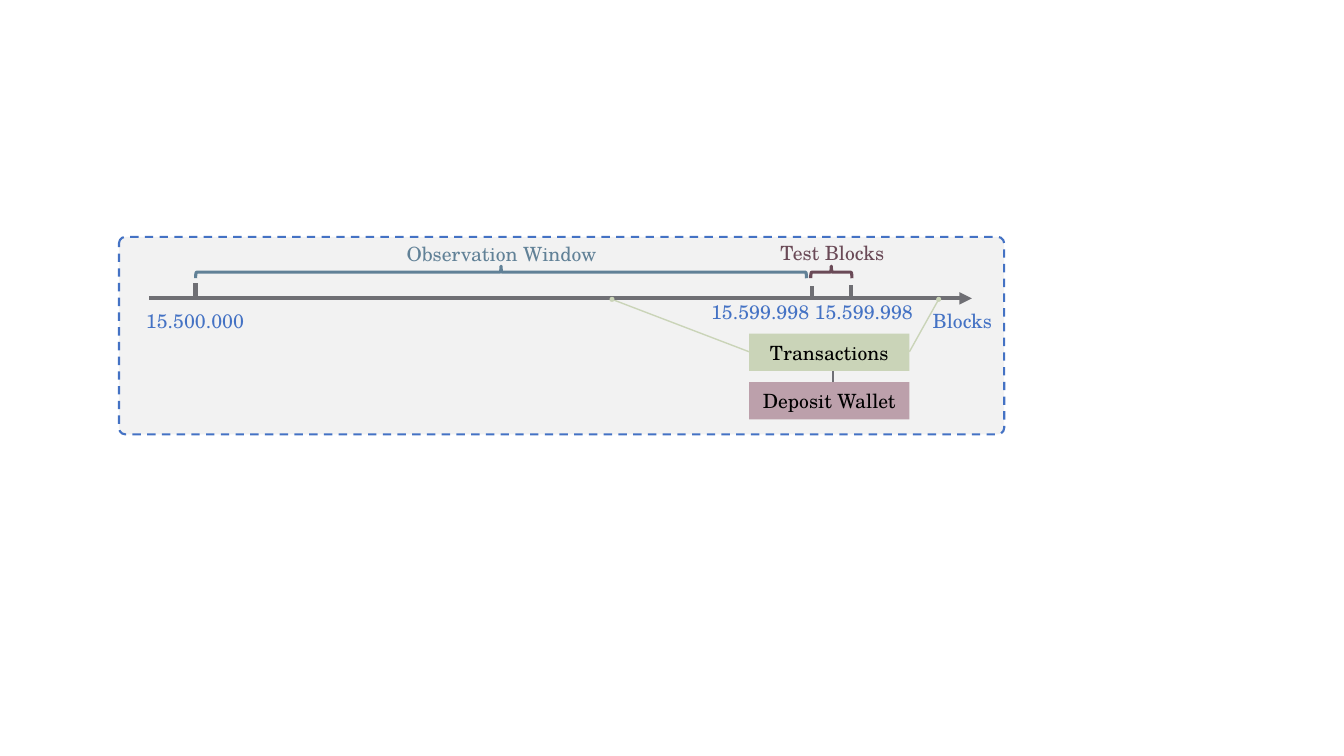
from lxml import etree
from pptx import Presentation
from pptx import util as u
from pptx.dml.color import RGBColor
from pptx.enum import dml, shapes, text
from pptx.oxml.ns import qn

FONT = "TeX Gyre Schola"
BLUE, GREY, GREEN, MAUVE = "4472C4", "6F6F74", "CAD4B8", "BCA0AB"
TEAL, PLUM, PALE, BLACK = "618197", "6A4A57", "F2F2F2", "000000"
KIND = shapes.MSO_SHAPE


def rgb(color):
    """Turn a hex string into a colour."""
    return RGBColor.from_string(color)


def add_text(tf, words, color):
    """Write one centred line into a text frame."""
    tf.word_wrap = True
    p = tf.paragraphs[0]
    p.text = words
    p.alignment = text.PP_ALIGN.CENTER
    r = p.runs[0]
    r.font.name, r.font.size = FONT, u.Pt(14)
    r.font.color.rgb = rgb(color)


def add_label(s, x, y, w, words, color):
    """Place a text label."""
    tb = s.shapes.add_textbox(u.Inches(x), u.Inches(y), u.Inches(w), u.Inches(0.34))
    add_text(tb.text_frame, words, color)


def add_shape(s, kind, x, y, w, h, fill=None, line=None, width=1.5):
    """Place a preset shape with an optional fill and line."""
    sp = s.shapes.add_shape(kind, u.Inches(x), u.Inches(y), u.Inches(w), u.Inches(h))
    sp.shadow.inherit = False
    if fill:
        sp.fill.solid()
        sp.fill.fore_color.rgb = rgb(fill)
    else:
        sp.fill.background()
    if line:
        sp.line.color.rgb = rgb(line)
        sp.line.width = u.Pt(width)
    else:
        sp.line.fill.background()
    return sp


def add_line(s, x1, y1, x2, y2, color, width, arrow=False):
    """Draw a straight line, with an arrowhead at its end if asked."""
    c = s.shapes.add_connector(shapes.MSO_CONNECTOR.STRAIGHT, u.Inches(x1),
                               u.Inches(y1), u.Inches(x2), u.Inches(y2))
    c.line.color.rgb = rgb(color)
    c.line.width = u.Pt(width)
    if arrow:
        etree.SubElement(c.line._get_or_add_ln(), qn("a:tailEnd"), type="triangle")
    etree.SubElement(c._element.spPr, qn("a:effectLst"))


def add_brace(s, x1, x2, y, color):
    """Draw a brace that points up and spans x1 to x2, centred on y."""
    depth, span = 0.12, x2 - x1
    sp = add_shape(s, KIND.RIGHT_BRACE, (x1 + x2 - depth) / 2, y - span / 2,
                   depth, span, line=color, width=2.25)
    sp.rotation = 270


def panel(s, x, y, w, h):
    """Draw the dashed background panel."""
    sp = add_shape(s, KIND.ROUNDED_RECTANGLE, x, y, w, h, PALE, BLUE)
    sp.adjustments[0] = 0.033
    sp.line.dash_style = dml.MSO_LINE.DASH


def timeline(s, x, y, w):
    """Draw the block axis with its ticks, braces and labels."""
    start, split, end = x + 0.46, x + 6.57, x + 6.96
    add_brace(s, start, split - 0.05, y - 0.26, TEAL)
    add_label(s, x + 1.76, y - 0.61, 3.47, "Observation Window", TEAL)
    add_brace(s, split - 0.01, end + 0.01, y - 0.26, PLUM)
    add_label(s, x + 5.65, y - 0.62, 2.25, "Test Blocks", PLUM)
    add_line(s, x, y, x + w, y, GREY, 3, arrow=True)
    for tick, height in ((start, 0.15), (split, 0.12), (end, 0.13)):
        add_line(s, tick, y - height, tick, y, GREY, 3)
    add_label(s, x + 7.65, y + 0.06, 0.83, "Blocks", BLUE)
    add_label(s, x - 0.23, y + 0.06, 1.37, "15.500.000", BLUE)
    add_label(s, x + 5.35, y - 0.03, 2.45, "15.599.998 15.599.998", BLUE)


def span_lines(s, x, y, w, axis_y, ends):
    """Join both sides of the transactions box to its span on the axis."""
    for side, end in zip((x, x + w), ends):
        add_line(s, side, y, end, axis_y, GREEN, 1)


def span_dots(s, axis_y, ends):
    """Mark both ends of the transactions span on the axis."""
    d = 0.05
    for end in ends:
        add_shape(s, KIND.OVAL, end - d / 2, axis_y - d / 2, d, d, GREEN)


def boxes(s, x, y, w):
    """Stack the transactions and deposit wallet boxes and join them."""
    h, pitch = 0.37, 0.48
    for i, (words, fill) in enumerate((("Transactions", GREEN), ("Deposit Wallet", MAUVE))):
        sp = add_shape(s, KIND.RECTANGLE, x, y + i * pitch, w, h, fill)
        sp.text_frame.vertical_anchor = text.MSO_ANCHOR.MIDDLE
        add_text(sp.text_frame, words, BLACK)
    add_line(s, x + 0.83, y + h, x + 0.83, y + pitch, GREY, 1.5)


def block_window(s, x, y, w, h):
    """Build the whole diagram inside its panel."""
    axis_y, box_x, box_y, box_w = y + 0.61, x + 6.25, y + 0.96, 1.59
    ends = (x + 4.89, x + 8.13)
    panel(s, x, y, w, h)
    span_lines(s, box_x, box_y + 0.18, box_w, axis_y + 0.01, ends)
    timeline(s, x + 0.3, axis_y, 8.16)
    boxes(s, box_x, box_y, box_w)
    span_dots(s, axis_y + 0.01, ends)


def main():
    """Build and save the slide."""
    prs = Presentation()
    prs.slide_width, prs.slide_height = u.Inches(13.33), u.Inches(7.5)
    s = prs.slides.add_slide(prs.slide_layouts[6])
    block_window(s, 1.18, 2.35, 8.78, 1.96)
    prs.save("out.pptx")


if __name__ == "__main__":
    main()
